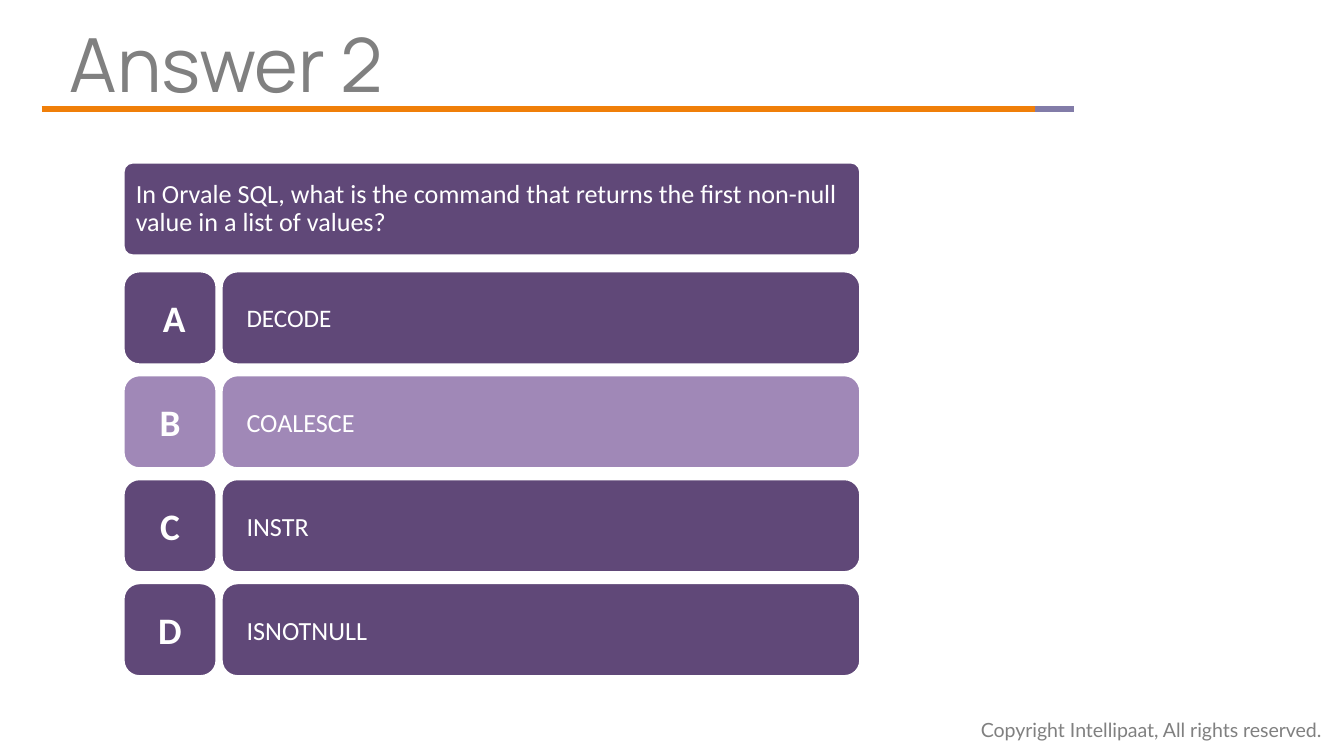
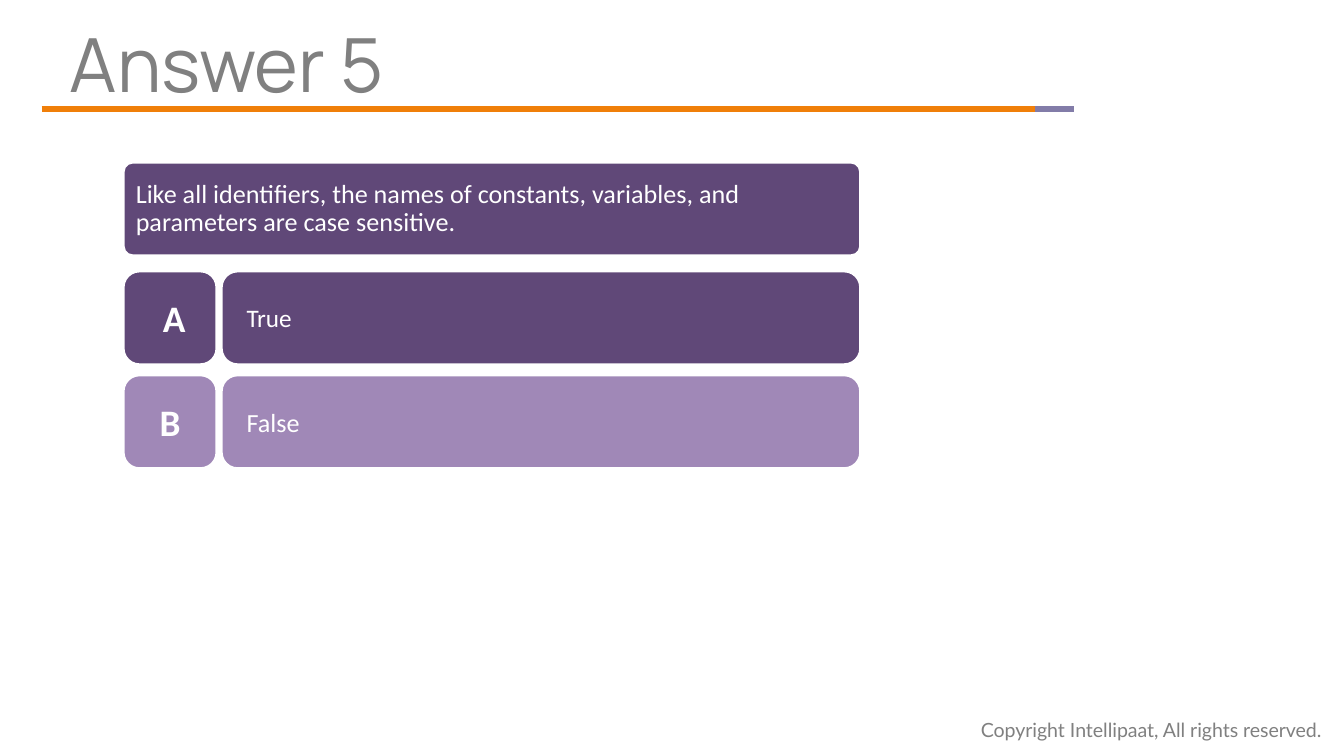
import pptx
import pptx.util
import pptx.dml.color
import pptx.enum.shapes
import pptx.enum.text
import pptx.oxml.ns
import lxml.etree

Inches, Pt = pptx.util.Inches, pptx.util.Pt
MIDDLE = pptx.enum.text.MSO_ANCHOR.MIDDLE
CENTER = pptx.enum.text.PP_ALIGN.CENTER
LEFT = pptx.enum.text.PP_ALIGN.LEFT

COLORS = {
    "plain": "604878",
    "correct": "A088B7",
    "white": "FFFFFF",
    "grey": "808080",
    "orange": "F07F09",
    "lilac": "827CA8",
}

# Text formats: frame, paragraph and font values, plus the font colour
FORMATS = {
    "title": {
        "frame": {"word_wrap": True, "margin_left": 0},
        "paragraph": {"line_spacing": 0.9},
        "font": {"name": "Manrope", "size": Pt(40)},
        "color": "grey",
    },
    "copyright": {
        "frame": {"word_wrap": False,
                  "auto_size": pptx.enum.text.MSO_AUTO_SIZE.SHAPE_TO_FIT_TEXT},
        "paragraph": {},
        "font": {"name": "Lato", "size": Pt(10.5)},
        "color": "grey",
    },
    "question": {
        "frame": {"word_wrap": True, "vertical_anchor": MIDDLE,
                  "margin_left": Inches(0.07), "margin_right": Inches(0.07),
                  "margin_top": Inches(0.07), "margin_bottom": Inches(0.07)},
        "paragraph": {"alignment": LEFT, "line_spacing": 0.9},
        "font": {"name": "Calibri", "size": Pt(14)},
        "color": "white",
    },
    "letter": {
        "frame": {"word_wrap": True, "vertical_anchor": MIDDLE},
        "paragraph": {"alignment": CENTER},
        "font": {"name": "Calibri", "size": Pt(20), "bold": True},
        "color": "white",
    },
    "option": {
        "frame": {"word_wrap": True, "vertical_anchor": MIDDLE,
                  "margin_left": Inches(0.15), "margin_right": Inches(0.15),
                  "margin_top": Inches(0.15), "margin_bottom": Inches(0.15)},
        "paragraph": {"alignment": LEFT},
        "font": {"name": "Calibri", "size": Pt(14)},
        "color": "white",
    },
}

# Two-tone rule under the title: start, end, colour
RULE_Y = 0.81
RULE_PARTS = [(0.31, 7.7, "orange"), (7.7, 7.99, "lilac")]

# Quiz grid
BOX_HEIGHT = 0.69
QUIZ_LEFT, QUIZ_WIDTH, QUESTION_TOP = 0.92, 5.48, 1.21
OPTION_LEFT, OPTION_WIDTH = 1.65, 4.75
FIRST_ROW, LAST_ROW = 2.02, 4.34
ROW_STEP = (LAST_ROW - FIRST_ROW) / 3

ANSWERS = [
    {
        "title": "Answer 2",
        "question": "In Orvale SQL, what is the command that returns the "
                    "first non-null value in a list of values?",
        "options": ["DECODE", "COALESCE", "INSTR", "ISNOTNULL"],
        "correct": "COALESCE",
    },
    {
        "title": "Answer 5",
        "question": "Like all identifiers, the names of constants, variables, "
                    "and parameters are case sensitive.",
        "options": ["True", "False"],
        "correct": "False",
    },
]


def write(holder, text, style):
    frame = holder.text_frame
    paragraph = frame.paragraphs[0]
    paragraph.text = text
    targets = {"frame": frame, "paragraph": paragraph,
               "font": paragraph.runs[0].font}
    for part, target in targets.items():
        for attribute, value in FORMATS[style][part].items():
            setattr(target, attribute, value)
    targets["font"].color.rgb = pptx.dml.color.RGBColor.from_string(
        COLORS[FORMATS[style]["color"]])


def add_panel(slide, left, top, width, color, corner, text, style):
    panel = slide.shapes.add_shape(
        pptx.enum.shapes.MSO_SHAPE.ROUNDED_RECTANGLE,
        Inches(left), Inches(top), Inches(width), Inches(BOX_HEIGHT))
    panel.adjustments[0] = corner
    panel.shadow.inherit = False
    panel.fill.solid()
    panel.fill.fore_color.rgb = pptx.dml.color.RGBColor.from_string(COLORS[color])
    panel.line.color.rgb = pptx.dml.color.RGBColor.from_string(COLORS["white"])
    panel.line.width = Pt(1)
    write(panel, text, style)
    return panel


# Widescreen deck, 16 to 9
deck = pptx.Presentation()
deck.slide_width = Inches(10)
deck.slide_height = Inches(10) * 9 // 16

for answer in ANSWERS:
    slide = deck.slides.add_slide(deck.slide_layouts[6])

    # Copyright line
    copyright_line = slide.shapes.add_textbox(
        Inches(7.2), Inches(5.29), Inches(2.83), Inches(0.28))
    write(copyright_line, "Copyright Intellipaat, All rights reserved.", "copyright")

    # Title rule
    for start, end, color in RULE_PARTS:
        rule = slide.shapes.add_connector(
            pptx.enum.shapes.MSO_CONNECTOR.STRAIGHT,
            Inches(start), Inches(RULE_Y), Inches(end), Inches(RULE_Y))
        rule.line.color.rgb = pptx.dml.color.RGBColor.from_string(COLORS[color])
        rule.line.width = Pt(3)
        lxml.etree.SubElement(rule._element.spPr, pptx.oxml.ns.qn("a:effectLst"))

    # Title
    title = slide.shapes.add_textbox(
        Inches(0.52), Inches(0.16), Inches(7.1), Inches(0.63))
    write(title, answer["title"], "title")

    # Question
    add_panel(slide, QUIZ_LEFT, QUESTION_TOP, QUIZ_WIDTH, "plain", 0.1,
              answer["question"], "question")

    # Options, with the correct one in the lighter colour
    for row, (letter, option) in enumerate(zip("ABCD", answer["options"])):
        top = FIRST_ROW + row * ROW_STEP
        color = "correct" if option == answer["correct"] else "plain"
        letter_box = add_panel(slide, QUIZ_LEFT, top, BOX_HEIGHT, color, 0.17,
                               letter, "letter")
        option_box = add_panel(slide, OPTION_LEFT, top, OPTION_WIDTH, color, 0.17,
                               option, "option")
        if row == 0:
            letter_box.text_frame.margin_left = Inches(0.16)
            option_box.text_frame.paragraphs[0].runs[0].font.size = Pt(13.5)

deck.save("out.pptx")
